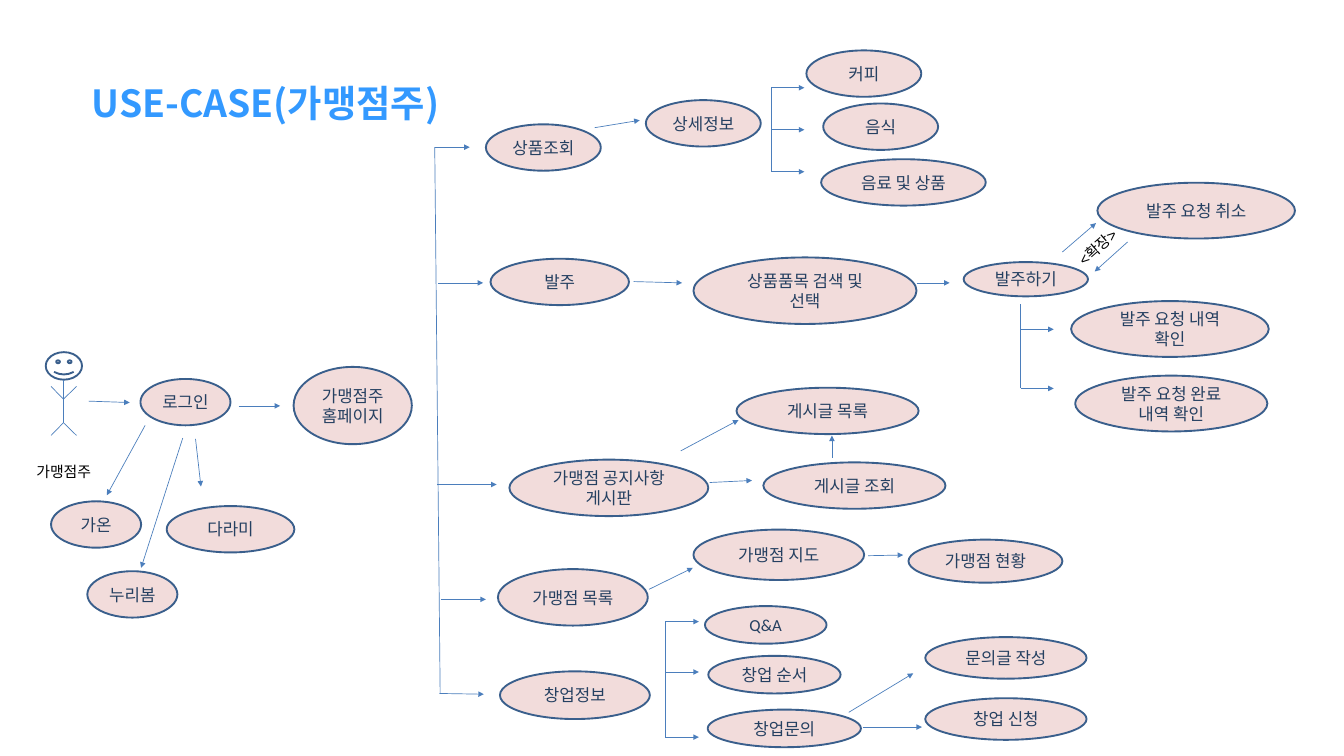
import pptx
import pptx.util
import pptx.dml.color
import pptx.enum.shapes
import pptx.enum.text
import pptx.oxml.ns
from lxml import etree

Pt = pptx.util.Pt
SHAPES = pptx.enum.shapes.MSO_SHAPE
STRAIGHT = pptx.enum.shapes.MSO_CONNECTOR.STRAIGHT
qn = pptx.oxml.ns.qn


def colour(value):
    return pptx.dml.color.RGBColor.from_string(value)


class Diagram:
    fill = "F2DCDB"
    outline = "3A5F8C"
    arrow_colour = "4B7EBC"
    label_colour = "254061"
    korean_font = "Noto Sans CJK KR"

    def __init__(self, slide):
        self.slide = slide

    def add_text(self, frame, text, size, font, text_colour, bold=False):
        frame.word_wrap = True
        para = frame.paragraphs[0]
        para.alignment = pptx.enum.text.PP_ALIGN.CENTER
        span = para.add_run()
        span.text = text
        span.font.size = Pt(size)
        span.font.bold = bold
        span.font.color.rgb = colour(text_colour)
        span.font.name = font
        east_asian = etree.SubElement(span._r.get_or_add_rPr(), qn("a:ea"))
        east_asian.set("typeface", self.korean_font)

    def outline_shape(self, shape):
        shape.shadow.inherit = False
        shape.line.color.rgb = colour(self.outline)
        shape.line.width = Pt(2)

    def use_case(self, text, left, top, width, height):
        oval = self.slide.shapes.add_shape(
            SHAPES.OVAL, Pt(left), Pt(top), Pt(width), Pt(height))
        self.outline_shape(oval)
        oval.fill.solid()
        oval.fill.fore_color.rgb = colour(self.fill)
        oval.text_frame.vertical_anchor = pptx.enum.text.MSO_ANCHOR.MIDDLE
        self.add_text(oval.text_frame, text, 18, "Calibri", self.label_colour)

    def line(self, x1, y1, x2, y2, arrow=False, parent=None):
        shapes = (parent or self.slide).shapes
        line = shapes.add_connector(STRAIGHT, Pt(x1), Pt(y1), Pt(x2), Pt(y2))
        line.line.color.rgb = colour(self.arrow_colour)
        line.line.width = Pt(0.75)
        properties = line._element.spPr
        if arrow:
            tail = etree.SubElement(properties.find(qn("a:ln")), qn("a:tailEnd"))
            tail.set("type", "triangle")
        etree.SubElement(properties, qn("a:effectLst"))

    def bracket(self, x, top, bottom, tip, branches):
        """Draw a vertical trunk with an arrow to the right at each branch height."""
        self.line(x, bottom, x, top)
        for y in branches:
            self.line(x, y, tip, y, arrow=True)

    def actor(self):
        group = self.slide.shapes.add_group_shape()
        face = group.shapes.add_shape(
            SHAPES.SMILEY_FACE, Pt(49), Pt(377.3), Pt(38.9), Pt(29.5))
        self.outline_shape(face)
        face.fill.background()
        neck, hip, shoulder = 406.8, 452.9, 427.7
        self.line(68.2, neck, 68.2, hip, parent=group)
        for hand in (54.7, 82):
            self.line(hand, 414, 68, shoulder, parent=group)
            self.line(68, hip, hand, 466.6, parent=group)

    def label(self, text, left, top, width, height, size=16, font="Arial",
              text_colour="000000", bold=False, rotation=0):
        box = self.slide.shapes.add_textbox(
            Pt(left), Pt(top), Pt(width), Pt(height))
        box.rotation = rotation
        self.add_text(box.text_frame, text, size, font, text_colour, bold)


USE_CASES = [
    ("로그인", 150.5, 406, 96.5, 49.7),
    ("가맹점주 홈페이지", 314.6, 393.1, 126.7, 82.8),
    ("가온", 54.7, 537.1, 96.5, 49.7),
    ("다라미", 178.6, 542.2, 136.8, 49.7),
    ("누리봄", 93.6, 612, 96.5, 49.7),
    ("상품조회", 520.6, 133.2, 123.1, 49.7),
    ("상세정보", 692, 107.3, 123.1, 49.7),
    ("커피", 864, 54, 123.1, 49.7),
    ("음식", 882, 110.9, 123.1, 49.7),
    ("음료 및 상품", 879.8, 170.6, 176.4, 49.7),
    ("발주", 525.6, 277.2, 148.3, 49.7),
    ("상품품목 검색 및 선택", 743, 275.8, 239, 71.3),
    ("발주하기", 1032.5, 280.8, 133.2, 36.7),
    ("발주 요청 취소", 1175.8, 195.8, 211.7, 59.8),
    ("발주 요청 내역 확인", 1147.7, 322.6, 211.7, 59.8),
    ("발주 요청 완료 내역 확인", 1152, 402.5, 205.9, 59.8),
    ("가맹점 공지사항 게시판", 545.8, 492.5, 213.1, 60.5),
    ("게시글 목록", 789.1, 415.4, 195.1, 49.7),
    ("게시글 조회", 817.9, 495.4, 195.1, 49.7),
    ("가맹점 목록", 533.5, 609.8, 160.6, 60.5),
    ("가맹점 지도", 743, 567.4, 182.9, 54),
    ("가맹점 현황", 973.4, 578.2, 164.9, 46.1),
    ("창업정보", 535.7, 719.3, 160.6, 51.1),
    ("Q&A", 755.3, 649.4, 130.3, 40.3),
    ("창업 순서", 758.9, 702.7, 141.8, 40.3),
    ("창업문의", 758.2, 760.3, 164.2, 40.3),
    ("문의글 작성", 991.4, 682.6, 172.8, 44.6),
    ("창업 신청", 991.4, 748.1, 172.8, 44.6),
]

ARROWS = [
    # actor, login and sign-in services
    (95, 429.8, 139, 431.3),
    (255.6, 434.9, 300.2, 434.9),
    (155.5, 455.8, 114.5, 530.6),
    (195.8, 469.4, 151.2, 608.4),
    (209.5, 470.2, 215.3, 521.3),
    # home page to the five menus
    (465.8, 157.7, 503.3, 157.7),
    (469.4, 303.1, 517.7, 303.1),
    (468.7, 519.1, 532.1, 519.1),
    (472.3, 642.2, 520.6, 642.2),
    (470.9, 743, 518.4, 743.8),
    # products and orders
    (637.2, 136.8, 685.4, 128.9),
    (679, 301.7, 730.8, 303.1),
    (982.1, 303.1, 1017.4, 303.1),
    (1138.3, 270, 1174.3, 239),
    (1208.2, 259.2, 1172.9, 290.9),
    # notice board
    (729.4, 483.1, 791.3, 450),
    (760.3, 517, 805.7, 514.8),
    (891.4, 490.3, 891.4, 466.6),
    # shops and start-up enquiries
    (695.5, 631.4, 742.3, 608.4),
    (930.2, 595.4, 967.7, 594.7),
    (909.4, 763.2, 978.5, 721.4),
    (924.5, 779, 987.8, 779),
]

BRACKETS = [
    (826.6, 94, 184, 861.8, (94, 139, 184)),
    (1093.7, 325.4, 416.2, 1129, (352.8, 416.2)),
    (712.8, 666, 789.8, 748.8, (666, 720, 789.8)),
]


def main():
    deck = pptx.Presentation()
    deck.slide_width, deck.slide_height = Pt(1440), Pt(810)
    page = Diagram(deck.slides.add_slide(deck.slide_layouts[6]))

    page.actor()
    for use_case in USE_CASES:
        page.use_case(*use_case)
    page.line(471.6, 743, 465.8, 157.7)
    for arrow in ARROWS:
        page.line(*arrow, arrow=True)
    for bracket in BRACKETS:
        page.bracket(*bracket)
    page.label("가맹점주", 15.8, 492.5, 105.1, 26.6)
    page.label("<확장>", 1113.1, 251.3, 126, 26.6, rotation=318.9)
    page.label("USE-CASE(가맹점주)", 9.4, 82.1, 550.1, 55.4, size=40,
               font=page.korean_font, text_colour="3399FF", bold=True)
    deck.save("out.pptx")


if __name__ == "__main__":
    main()
